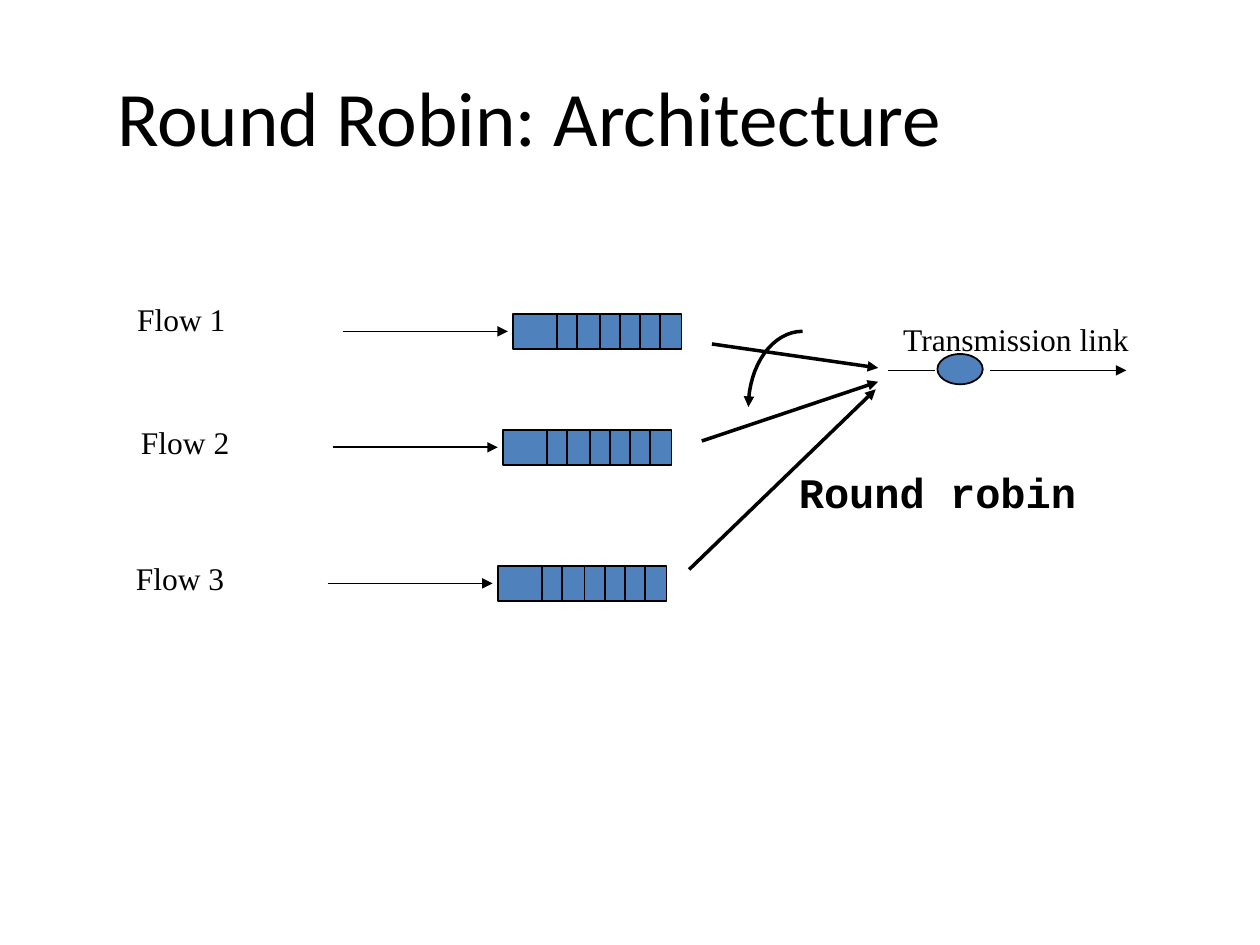
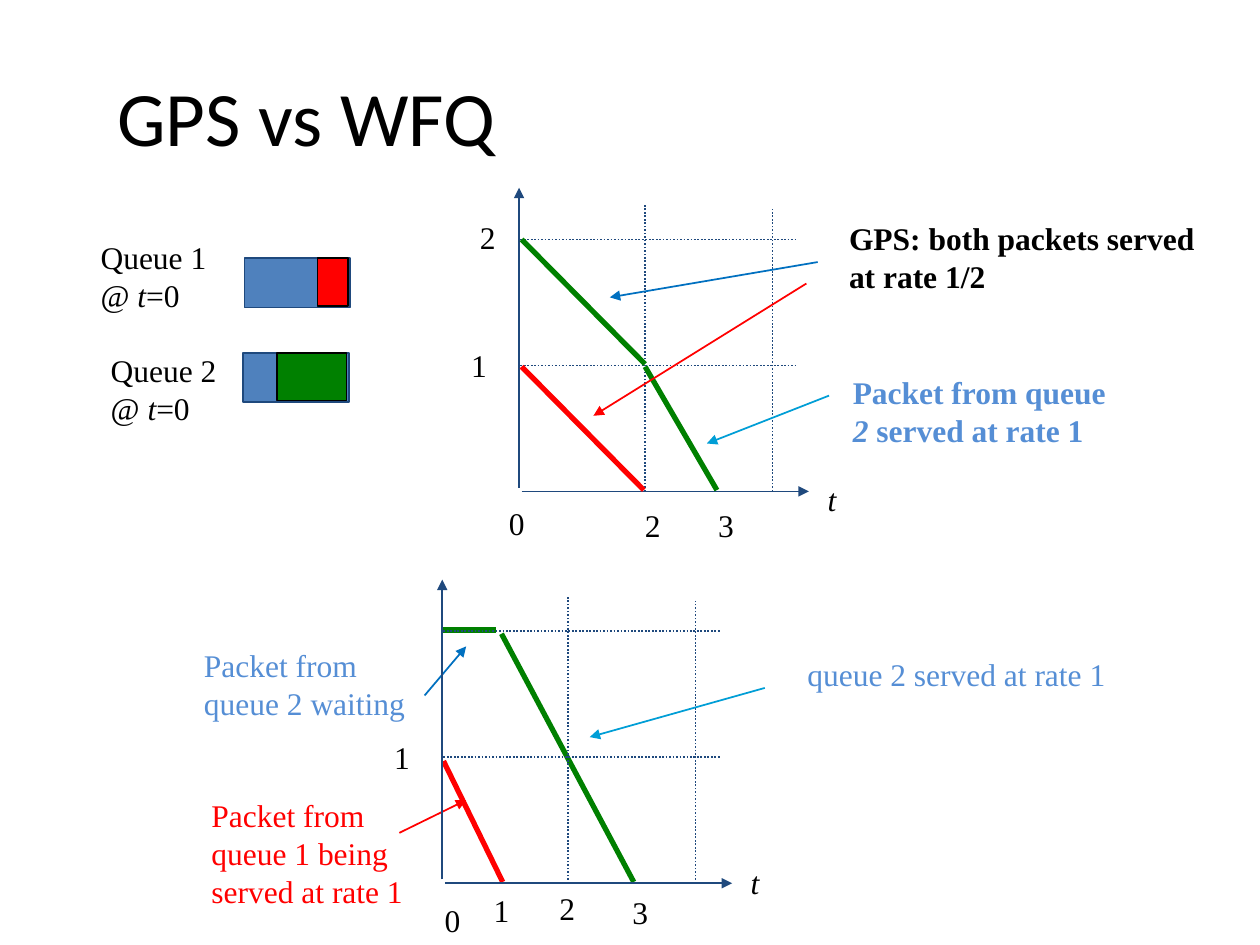
from dataclasses import dataclass
from math import cos, pi, sin

from lxml import etree
from pptx import Presentation
from pptx import util as u
from pptx.dml.color import RGBColor
from pptx.enum import dml, shapes, text
from pptx.oxml.ns import qn


@dataclass(frozen=True)
class Theme:
    cell: int = u.Inches(1)
    columns: float = 10
    rows: float = 7.5
    black: str = "000000"
    box: str = "4F81BD"
    axis: str = "1F497D"
    red: str = "FF0000"
    green: str = "008000"
    note: str = "558ED5"
    blue: str = "0070C0"
    cyan: str = "009ED6"
    title_font: str = "Calibri"
    body_font: str = "Times New Roman"
    code_font: str = "Courier New"
    title_size: int = 44
    body_size: int = 18
    code_size: int = 24
    thin: int = 1
    medium: int = 2
    thick: int = 3


T = Theme()


def grid(*cells):
    return [u.Emu(round(n * T.cell)) for n in cells]


def set_font(p, name, size, color, bold=False):
    p.font.name = name
    p.font.size = u.Pt(size)
    p.font.color.rgb = RGBColor.from_string(color)
    p.font.bold = bold


def set_line(shape, color, width):
    shape.line.color.rgb = RGBColor.from_string(color)
    shape.line.width = u.Pt(width)


def add_arrowhead(shape, end):
    ln = shape.element.spPr.find(qn("a:ln"))
    etree.SubElement(ln, qn(f"a:{end}"), type="triangle")


def add_titled_slide(prs, title):
    s = prs.slides.add_slide(prs.slide_layouts[5])
    sp = s.shapes.title
    sp.left, sp.top, sp.width, sp.height = grid(0.83, 0.29, 8.83, 1.25)
    tf = sp.text_frame
    tf.text = title
    tf.vertical_anchor = text.MSO_ANCHOR.MIDDLE
    tf.auto_size = text.MSO_AUTO_SIZE.NONE
    p = tf.paragraphs[0]
    p.alignment = text.PP_ALIGN.LEFT
    set_font(p, T.title_font, T.title_size, T.black)
    return s


def add_label(s, at, *lines, color=T.black, bold=False, wrap=False,
              font=T.body_font, size=T.body_size, align=text.PP_ALIGN.LEFT):
    tf = s.shapes.add_textbox(*grid(*at)).text_frame
    tf.word_wrap = wrap
    for i, line in enumerate(lines):
        p = tf.add_paragraph() if i else tf.paragraphs[0]
        p.alignment = align
        set_font(p, font, size, color, bold)
        for n, part in enumerate(line.split("*")):
            if part:
                r = p.add_run()
                r.text = part
                if n % 2:
                    r.font.italic = True


def add_line(s, start, end, color=T.black, width=T.thin, arrow=False, dotted=False):
    c = s.shapes.add_connector(shapes.MSO_CONNECTOR.STRAIGHT, *grid(*start, *end))
    set_line(c, color, width)
    if dotted:
        c.line.dash_style = dml.MSO_LINE.ROUND_DOT
    if arrow:
        add_arrowhead(c, "tailEnd")
    etree.SubElement(c.element.spPr, qn("a:effectLst"))


def add_box(s, at, fill=T.box, line=T.black, kind=shapes.MSO_SHAPE.RECTANGLE):
    sp = s.shapes.add_shape(kind, *grid(*at))
    sp.shadow.inherit = False
    sp.fill.solid()
    sp.fill.fore_color.rgb = RGBColor.from_string(fill)
    set_line(sp, line, T.thin)


def add_rotation_arrow(s, left, top, width, height, steps=16):
    angles = [i * pi / 2 / steps for i in range(steps + 1)]
    points = [grid(left + width * (1 - cos(a)), top + height * (1 - sin(a)))
              for a in angles]
    builder = s.shapes.build_freeform(*points[0])
    builder.add_line_segments(points[1:], close=False)
    sp = builder.convert_to_shape()
    sp.shadow.inherit = False
    sp.fill.background()
    set_line(sp, T.black, T.medium)
    add_arrowhead(sp, "headEnd")


def add_flow(s, name, label_at, queue_at):
    x, y = queue_at
    width, height = 1.34, 0.28
    add_box(s, (x, y, width, height))
    for offset in (0.35, 0.51, 0.69, 0.85, 1.01, 1.17):
        add_line(s, (x + offset, y), (x + offset, y + height))
    middle = y + height / 2
    add_line(s, (x - 1.35, middle), (x - 0.04, middle), arrow=True)
    add_label(s, (*label_at, 1.02, 0.4), name)


def add_axes(s, x, y):
    add_line(s, (x, y - 0.03), (x, y - 2.41), T.axis, arrow=True)
    add_line(s, (x + 0.02, y), (x + 2.3, y), T.axis, arrow=True)
    for level in (1, 2):
        add_line(s, (x + 0.01, y - level), (x + 2.21, y - level), T.axis, dotted=True)
    for offset, top in ((1, 2.27), (2.01, 2.24)):
        add_line(s, (x + offset, y), (x + offset, y - top), T.axis, dotted=True)


def add_ticks(s, width, ticks):
    for label, x, y in ticks:
        add_label(s, (x, y, width, 0.4), label)


def add_queue(s, name, label_at, box_at, packet_left, packet_width, color):
    x, y = box_at
    add_box(s, (x, y, 0.84, 0.39), line=T.axis)
    add_box(s, (packet_left, y, packet_width, 0.38), color)
    add_label(s, (*label_at, 1.04, 0.7), name, "@ *t*=0")


def build_architecture(prs):
    s = add_titled_slide(prs, "Round Robin: Architecture")
    for flow in (("Flow 1", (0.99, 2.33), (4.07, 2.49)),
                 ("Flow 2", (1.02, 3.31), (3.99, 3.41)),
                 ("Flow 3", (0.98, 4.39), (3.95, 4.49))):
        add_flow(s, *flow)
    for start, end in (((5.65, 2.73), (6.97, 2.92)),
                       ((5.57, 3.5), (6.97, 3.03)),
                       ((5.47, 4.52), (6.95, 3.09))):
        add_line(s, start, end, width=T.medium, arrow=True)
    add_box(s, (7.44, 2.81, 0.36, 0.24), kind=shapes.MSO_SHAPE.OVAL)
    add_line(s, (7.05, 2.94), (7.42, 2.94))
    add_line(s, (7.86, 2.94), (8.94, 2.94), arrow=True)
    add_label(s, (7.07, 2.49, 2.26, 0.4), "Transmission link", wrap=True)
    add_rotation_arrow(s, 5.94, 2.63, 0.43, 0.6)
    add_label(s, (6.14, 3.65, 2.6, 0.5), "Round robin", bold=True,
              font=T.code_font, size=T.code_size, align=text.PP_ALIGN.CENTER)


def build_gps_plot(s):
    add_axes(s, 4.12, 3.9)
    add_ticks(s, 0.45, (("2", 5.02, 3.97), ("1", 3.64, 2.7), ("3", 5.6, 3.97),
                        ("0", 3.94, 3.95), ("2", 3.71, 1.68)))
    add_label(s, (6.47, 3.76, 0.39, 0.4), "*t*")
    add_line(s, (5.12, 2.91), (5.69, 3.89), T.green, T.thick)
    add_line(s, (4.14, 2.91), (5.11, 3.89), T.red, T.thick)
    add_line(s, (4.14, 1.9), (5.12, 2.89), T.green, T.thick)
    add_line(s, (6.58, 3.14), (5.61, 3.52), T.cyan, arrow=True)
    add_line(s, (6.49, 2.08), (4.84, 2.36), T.blue, arrow=True)
    add_line(s, (6.4, 2.25), (4.71, 3.3), T.red, arrow=True)
    add_label(s, (6.67, 2.91, 2.23, 0.7), "Packet from queue",
              "*2* served at rate 1", color=T.note, bold=True)
    add_label(s, (6.64, 1.69, 3.13, 0.7), "GPS: both packets served",
              "at rate 1/2", bold=True)


def build_wfq_plot(s):
    add_line(s, (3.98, 5.03), (5.03, 7), T.green, T.thick)
    add_line(s, (3.52, 6.04), (3.99, 7), T.red, T.thick)
    add_line(s, (3.51, 5), (3.94, 5), T.green, T.thick)
    add_line(s, (6.07, 5.46), (4.68, 5.85), T.cyan, arrow=True)
    add_line(s, (3.17, 6.61), (3.7, 6.35), T.red, arrow=True)
    add_line(s, (3.37, 5.52), (3.7, 5.13), T.blue, arrow=True)
    add_label(s, (6.31, 5.15, 2.67, 0.4), "queue 2 served at rate 1",
              color=T.note, wrap=True)
    add_label(s, (1.58, 6.27, 1.93, 1), "Packet from", "queue 1 being",
              "served at rate 1", color=T.red, wrap=True)
    add_label(s, (1.52, 5.08, 2.12, 0.7), "Packet from", "queue 2 waiting",
              color=T.note, wrap=True)
    add_axes(s, 3.51, 7.01)
    add_ticks(s, 0.32, (("1", 3.03, 5.81), ("1", 3.82, 7.02), ("2", 4.34, 7.01),
                        ("0", 3.43, 7.1), ("3", 4.92, 7.04)))
    add_label(s, (5.86, 6.8, 0.27, 0.4), "*t*")


def build_comparison(prs):
    s = add_titled_slide(prs, "GPS vs WFQ")
    add_queue(s, "Queue 1", (0.7, 1.84), (1.94, 2.05), 2.52, 0.24, T.red)
    add_queue(s, "Queue 2", (0.78, 2.74), (1.93, 2.8), 2.2, 0.55, T.green)
    build_gps_plot(s)
    build_wfq_plot(s)


def main():
    prs = Presentation()
    prs.slide_width, prs.slide_height = grid(T.columns, T.rows)
    build_architecture(prs)
    build_comparison(prs)
    prs.save("out.pptx")


if __name__ == "__main__":
    main()
